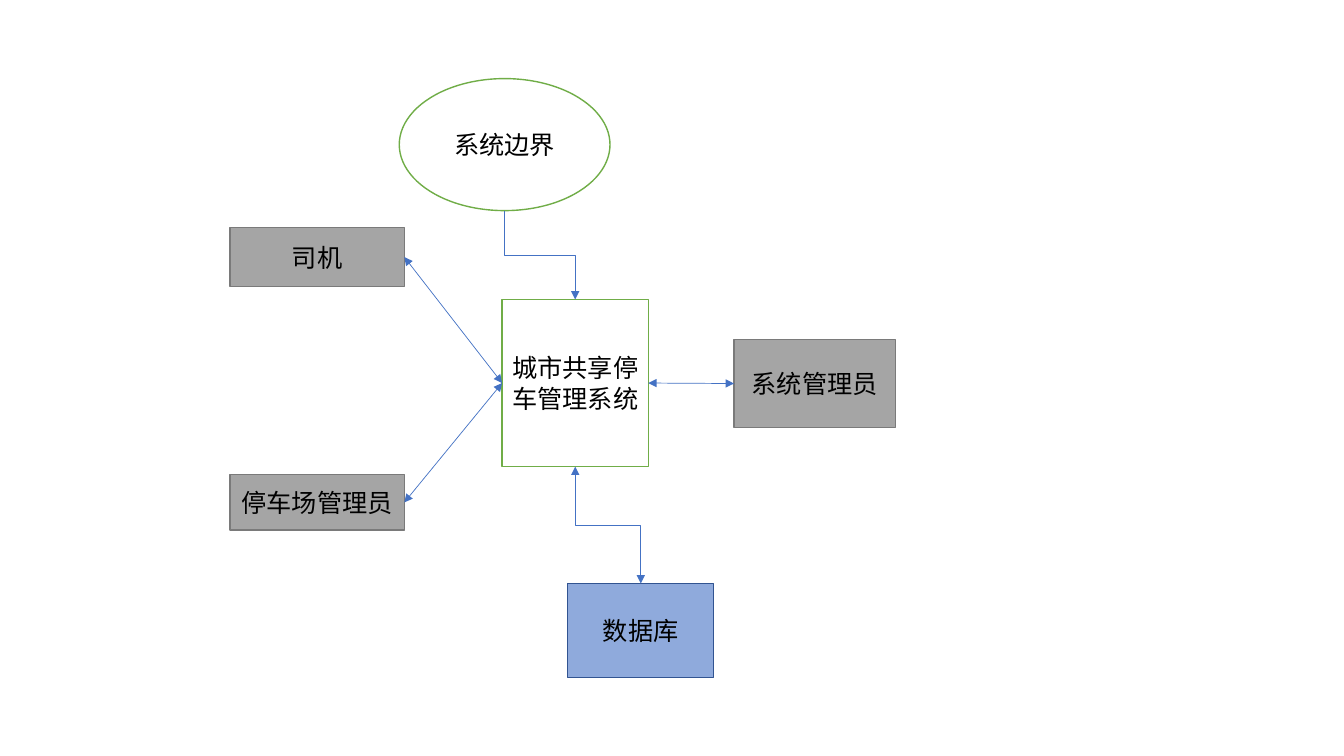
from pptx import Presentation
from pptx.dml.color import RGBColor
from pptx.enum.shapes import MSO_CONNECTOR as CONN, MSO_SHAPE as SHAPE
from pptx.enum.text import MSO_ANCHOR, PP_ALIGN
from pptx.oxml.ns import qn
from pptx.oxml.xmlchemy import OxmlElement
from pptx.util import Inches, Pt

TOP, LEFT, BOTTOM, RIGHT = range(4)
OVAL_SITES = {TOP: 0, LEFT: 2, BOTTOM: 4, RIGHT: 6}


def rgb(value):
    return RGBColor.from_string(value)


class Diagram:
    """Holds the diagram style and the current slide."""

    font, size, ink = "Noto Sans CJK SC", 18, "000000"
    link_color, link_width = "4472C4", 0.5

    def __init__(self, slide):
        self.shapes = slide.shapes

    def node(self, text, box, fill, line, kind=SHAPE.RECTANGLE):
        sp = self.shapes.add_shape(kind, *map(Inches, box))
        sp.shadow.inherit = False
        sp.fill.solid()
        sp.fill.fore_color.rgb = rgb(fill)
        sp.line.color.rgb = rgb(line)
        sp.line.width = Pt(1)
        tf = sp.text_frame
        tf.text = text
        tf.word_wrap = True
        tf.vertical_anchor = MSO_ANCHOR.MIDDLE
        p = tf.paragraphs[0]
        p.alignment = PP_ALIGN.CENTER
        font = p.runs[0].font
        font.name, font.size = self.font, Pt(self.size)
        font.color.rgb = rgb(self.ink)
        ea = OxmlElement("a:ea")
        ea.set("typeface", self.font)
        font._element.find(qn("a:latin")).addnext(ea)
        return sp

    def link(self, start, start_site, end, end_site, kind=CONN.STRAIGHT,
             arrows=("headEnd", "tailEnd")):
        cn = self.shapes.add_connector(kind, 0, 0, 0, 0)
        cn.begin_connect(start, start_site)
        cn.end_connect(end, end_site)
        if start.auto_shape_type == SHAPE.OVAL:
            site = next(cn._element.iter(qn("a:stCxn")))
            site.set("idx", str(OVAL_SITES[start_site]))
        if kind == CONN.ELBOW:
            self.turn_downward(cn)
        cn.line.color.rgb = rgb(self.link_color)
        cn.line.width = Pt(self.link_width)
        ln = cn.line._get_or_add_ln()
        for name in arrows:
            arrow = OxmlElement(f"a:{name}")
            arrow.set("type", "triangle")
            ln.append(arrow)
        cn._element.spPr.append(OxmlElement("a:effectLst"))
        return cn

    def turn_downward(self, cn):
        dx, dy = cn.width, cn.height
        shift = (dx - dy) // 2
        cn.left, cn.top = cn.left + shift, cn.top - shift
        cn.width, cn.height = dy, dx
        xfrm = cn._element.spPr.find(qn("a:xfrm"))
        xfrm.set("rot", str(270 * 60000))
        xfrm.set("flipH", "1")


prs = Presentation()
prs.slide_width, prs.slide_height = Inches(13.33), Inches(7.5)
d = Diagram(prs.slides.add_slide(prs.slide_layouts[6]))

outline = ("FFFFFF", "70AD47")
actor = ("A5A5A5", "7A7A7A")
store = ("8FAADC", "325491")

system = d.node("城市共享停车管理系统", (4.98, 2.97, 1.45, 1.66), *outline)
driver = d.node("司机", (2.28, 2.26, 1.73, 0.58), *actor)
lot_manager = d.node("停车场管理员", (2.28, 4.71, 1.73, 0.55), *actor)
admin = d.node("系统管理员", (7.28, 3.37, 1.6, 0.87), *actor)
boundary = d.node("系统边界", (3.96, 0.78, 2.09, 1.31), *outline, SHAPE.OVAL)
database = d.node("数据库", (5.63, 5.79, 1.45, 0.93), *store)

d.link(boundary, BOTTOM, system, TOP, CONN.ELBOW, ("tailEnd",))
for person in (driver, lot_manager):
    d.link(person, RIGHT, system, LEFT)
d.link(system, RIGHT, admin, LEFT)
d.link(system, BOTTOM, database, TOP, CONN.ELBOW)

prs.save("out.pptx")
